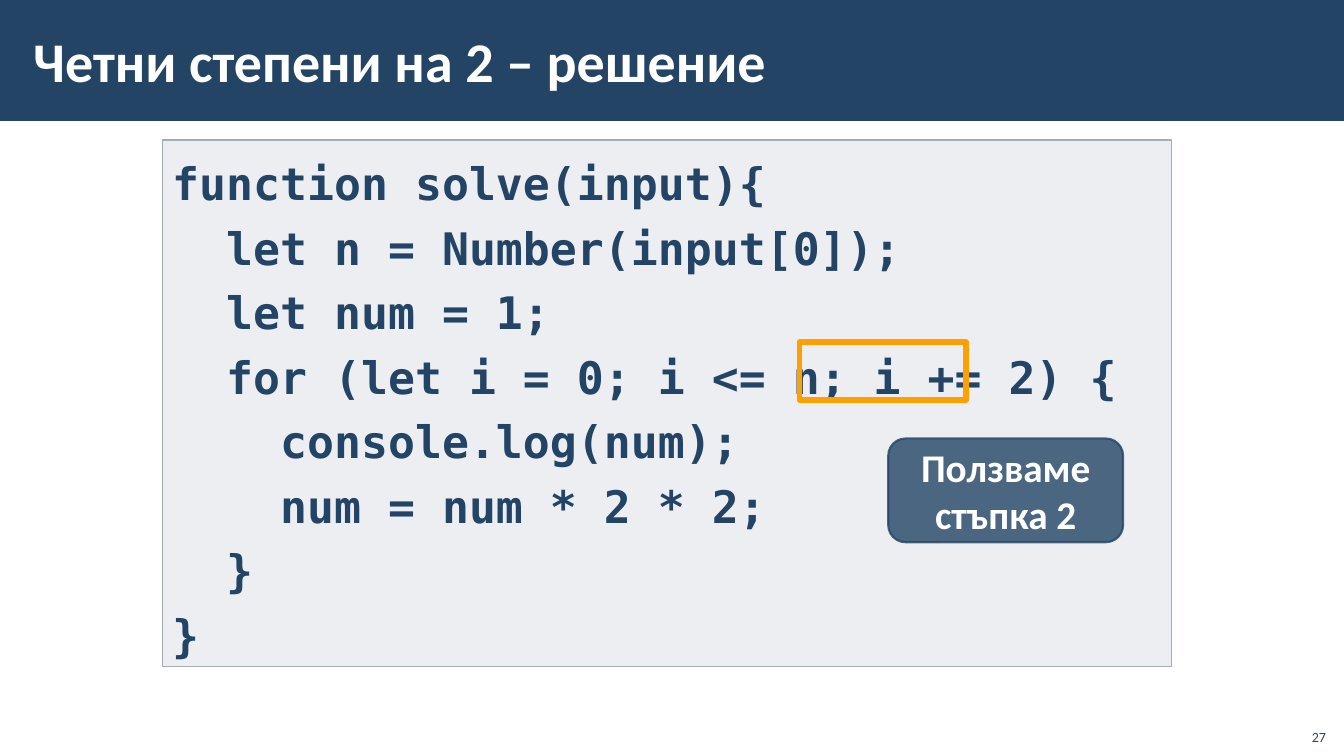
from pptx import Presentation, util as u
from pptx.dml.color import RGBColor
from pptx.enum import shapes, text
from pptx.oxml.ns import qn
from lxml import etree

COLORS = {"navy": "234465", "gray": "A3ABBC", "orange": "FFA000", "white": "FFFFFF"}
RECT = shapes.MSO_SHAPE.RECTANGLE
ROUND = shapes.MSO_SHAPE.ROUNDED_RECTANGLE
ALIGN, ANCHOR = text.PP_ALIGN, text.MSO_ANCHOR

prs = Presentation()
prs.slide_width, prs.slide_height = u.Inches(13.33), u.Inches(7.5)
s = prs.slides.add_slide(prs.slide_layouts[6])


def add_box(x, y, w, h, preset=None, fill=None, line=None, weight=1, alpha=None, line_alpha=None):
    """Add a preset shape, or a text box when no preset is given."""
    at = [u.Inches(v) for v in (x, y, w, h)]
    if preset is None:
        return s.shapes.add_textbox(*at)
    sp = s.shapes.add_shape(preset, *at)
    sp.shadow.inherit = False
    for fmt, color, opacity in ((sp.fill, fill, alpha), (sp.line.fill, line, line_alpha)):
        if color is None:
            fmt.background()
            continue
        fmt.solid()
        fmt.fore_color.rgb = RGBColor.from_string(COLORS[color])
        if opacity:
            clr = fmt._xPr.find(qn("a:solidFill"))[0]
            etree.SubElement(clr, qn("a:alpha"), val=str(opacity * 1000))
    if line:
        sp.line.width = u.Pt(weight)
    return sp


def write(sp, content, size, color, font="Calibri", bold=True, align=ALIGN.LEFT,
          anchor=ANCHOR.MIDDLE, spacing=None, inset=0.1):
    """Write one paragraph for each line of content."""
    tf = sp.text_frame
    tf.word_wrap = True
    tf.vertical_anchor = anchor
    tf.margin_left = tf.margin_right = u.Inches(inset)
    for i, row in enumerate(content.splitlines()):
        p = tf.paragraphs[0] if i == 0 else tf.add_paragraph()
        p.alignment, p.line_spacing = align, spacing
        r = p.add_run()
        r.text = row
        r.font.name, r.font.size, r.font.bold = font, u.Pt(size), bold
        r.font.color.rgb = RGBColor.from_string(COLORS[color])


# Title bar
add_box(0, 0, 13.33, 1.2, RECT, fill="navy")
write(add_box(0.21, 0.11, 10.63, 0.97), "Четни степени на 2 – решение", 40, "white", inset=0.12)

# Code panel
CODE = """function solve(input){
  let n = Number(input[0]);
  let num = 1;
  for (let i = 0; i <= n; i += 2) {
    console.log(num);
    num = num * 2 * 2;
  }
}"""
panel = add_box(1.61, 1.39, 10.01, 5.22, RECT, fill="gray", line="gray", alpha=20)
write(panel, CODE, 32, "navy", font="DejaVu Sans Mono", anchor=ANCHOR.TOP, spacing=1.2)

# Highlight on the loop step
add_box(7.93, 3.39, 1.65, 0.58, RECT, line="orange", weight=4)

# Callout
callout = add_box(8.81, 4.35, 2.33, 1.03, ROUND, fill="navy", line="navy", weight=1.5,
                  alpha=80, line_alpha=80)
write(callout, "Ползваме стъпка 2", 28, "white", align=ALIGN.CENTER)

# Slide number
write(add_box(12.85, 7.12, 0.4, 0.32), "27", 10, "navy", bold=False,
      align=ALIGN.RIGHT, anchor=ANCHOR.BOTTOM)

prs.save("out.pptx")
